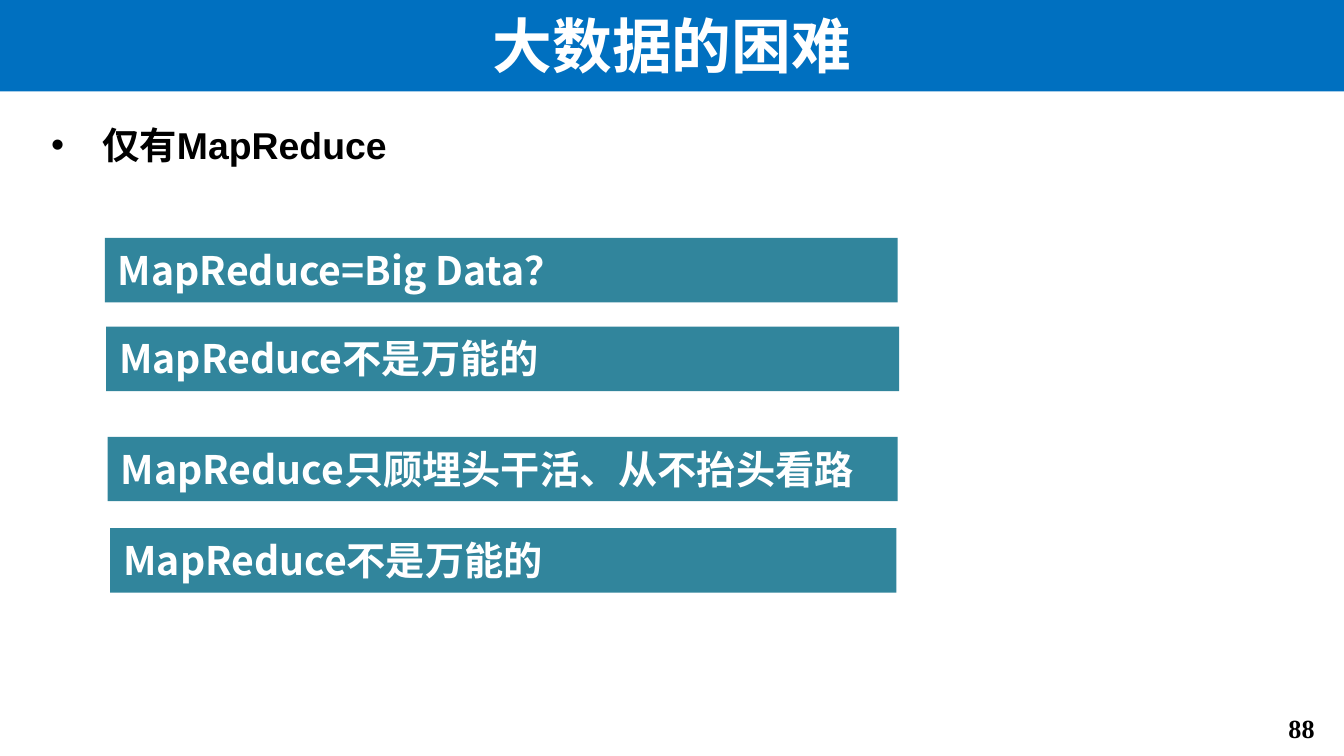
from dataclasses import dataclass

from lxml import etree
from pptx import Presentation
from pptx.dml.color import RGBColor
from pptx.enum.shapes import MSO_SHAPE
from pptx.enum.text import MSO_ANCHOR, MSO_AUTO_SIZE, PP_ALIGN
from pptx.oxml.ns import qn
from pptx.util import Inches, Pt

RECTANGLE = MSO_SHAPE.RECTANGLE
MIDDLE, BOTTOM = MSO_ANCHOR.MIDDLE, MSO_ANCHOR.BOTTOM
LEFT, CENTER, RIGHT = PP_ALIGN.LEFT, PP_ALIGN.CENTER, PP_ALIGN.RIGHT
NO_AUTOFIT = MSO_AUTO_SIZE.NONE


@dataclass(frozen=True)
class Theme:
    blue: RGBColor = RGBColor(0x00, 0x70, 0xC0)
    teal: RGBColor = RGBColor(0x31, 0x85, 0x9C)
    white: RGBColor = RGBColor(0xFF, 0xFF, 0xFF)
    black: RGBColor = RGBColor(0x00, 0x00, 0x00)
    heading_font: str = "Arial"
    bar_font: str = "Noto Sans CJK SC"
    number_font: str = "Times New Roman"
    title_size: int = 32
    body_size: int = 20
    bar_size: int = 21
    number_size: int = 14


theme = Theme()


def place(shape, left, top, width, height):
    shape.left, shape.top = Inches(left), Inches(top)
    shape.width, shape.height = Inches(width), Inches(height)


def add_text(paragraph, text, font_name, size, color, alignment):
    paragraph.alignment = alignment
    run = paragraph.add_run()
    run.text = text
    run.font.name = font_name
    run.font.size = Pt(size)
    run.font.bold = True
    run.font.color.rgb = color
    # Chinese characters take their font from the East Asian slot
    east_asian = etree.SubElement(run.font._element, qn("a:ea"))
    east_asian.set("typeface", theme.bar_font)


# Widescreen slide, 16:9
presentation = Presentation()
presentation.slide_width = Inches(10)
presentation.slide_height = Inches(10 * 9 / 16)
slide = presentation.slides.add_slide(presentation.slide_layouts[1])
slide.background.fill.solid()
slide.background.fill.fore_color.rgb = theme.white

# Title band
title = slide.shapes.title
place(title, 0, -0.02, 10, 0.7)
title.fill.solid()
title.fill.fore_color.rgb = theme.blue
title.text_frame.auto_size = NO_AUTOFIT
title.text_frame.vertical_anchor = MIDDLE
add_text(title.text_frame.paragraphs[0], "大数据的困难", theme.heading_font,
         theme.title_size, theme.white, CENTER)

# Bulleted lead-in
body = slide.placeholders[1]
place(body, 0.28, 0.86, 9.37, 4.16)
body.text_frame.auto_size = NO_AUTOFIT
paragraph = body.text_frame.paragraphs[0]
paragraph.space_before = Pt(0)
properties = paragraph._p.get_or_add_pPr()
properties.set("marL", str(Inches(0.38)))
properties.set("indent", str(-Inches(0.38)))
etree.SubElement(properties, qn("a:buFont")).set("typeface", "Arial")
etree.SubElement(properties, qn("a:buChar")).set("char", "•")
add_text(paragraph, "仅有MapReduce", theme.heading_font,
         theme.body_size, theme.black, LEFT)

# Statement bars: left, top, width, text
bars = [
    (0.78, 1.77, 5.9, "MapReduce=Big Data？"),
    (0.79, 2.43, 5.9, "MapReduce不是万能的"),
    (0.8, 3.25, 5.88, "MapReduce只顾埋头干活、从不抬头看路"),
    (0.82, 3.93, 5.85, "MapReduce不是万能的"),
]
for left, top, width, text in bars:
    bar = slide.shapes.add_shape(RECTANGLE, Inches(left), Inches(top),
                                 Inches(width), Inches(0.48))
    bar.shadow.inherit = False
    bar.fill.solid()
    bar.fill.fore_color.rgb = theme.teal
    bar.line.fill.background()
    frame = bar.text_frame
    frame.word_wrap = True
    frame.auto_size = NO_AUTOFIT
    frame.vertical_anchor = BOTTOM
    frame.margin_left = frame.margin_right = Inches(0.1)
    frame.margin_top, frame.margin_bottom = Inches(0.05), Inches(0.07)
    add_text(frame.paragraphs[0], text, theme.bar_font,
             theme.bar_size, theme.white, LEFT)

# Page number
number = slide.shapes.add_textbox(Inches(9.25), Inches(5.25),
                                  Inches(0.63), Inches(0.34))
number.text_frame.word_wrap = True
add_text(number.text_frame.paragraphs[0], "88", theme.number_font,
         theme.number_size, theme.black, RIGHT)

presentation.save("out.pptx")
